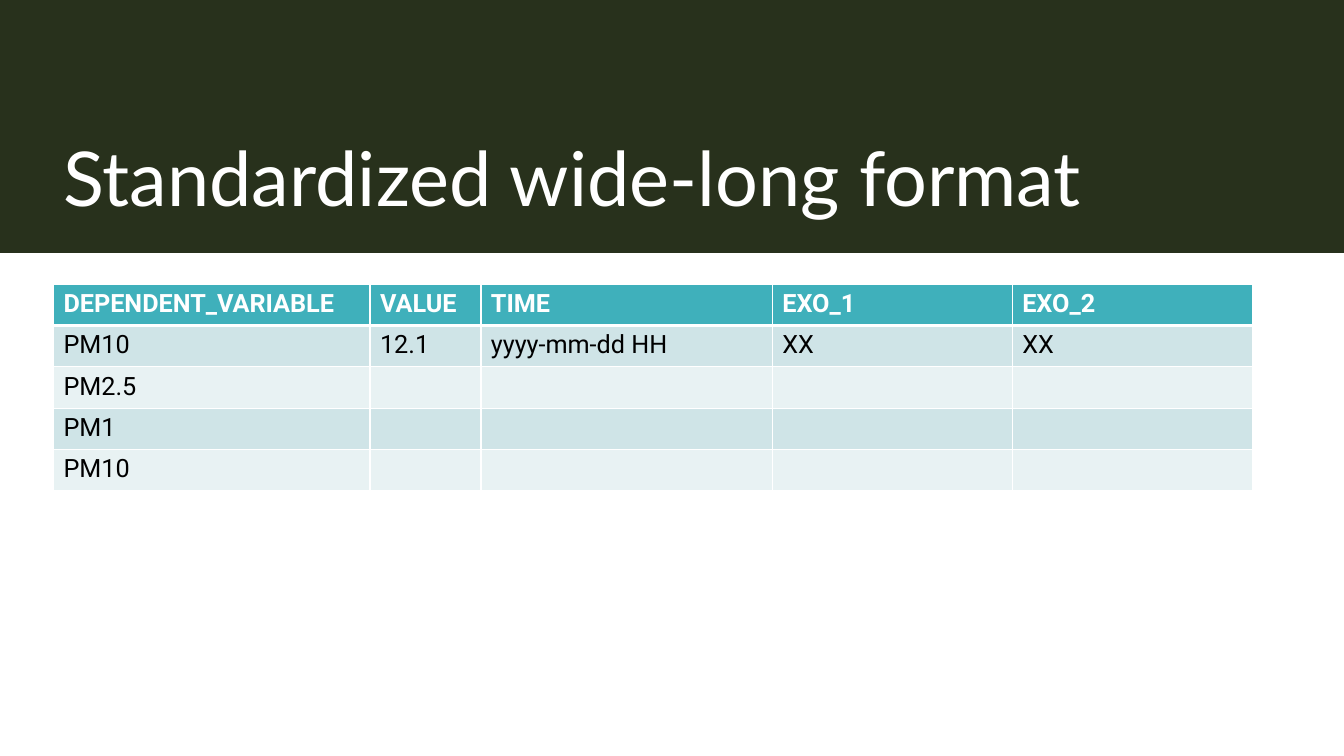
from lxml import etree
from pptx import Presentation
from pptx import util as u
from pptx.dml.color import RGBColor
from pptx.enum import shapes, text
from pptx.oxml import ns

WHITE = RGBColor(0xFF, 0xFF, 0xFF)
BLACK = RGBColor(0, 0, 0)
OLIVE = RGBColor(0x28, 0x31, 0x1C)
TEAL = RGBColor(0x3F, 0xB0, 0xBB)
BANDS = [RGBColor(0xE8, 0xF2, 0xF3), RGBColor(0xCF, 0xE4, 0xE7)]

LEFT, WIDTH = u.Inches(0.53), u.Inches(11.89)
ROW = u.Inches(0.41)
COLS = [3.14, 1.1, 2.89, 2.38, 2.38]
ROWS = [
    ["DEPENDENT_VARIABLE", "VALUE", "TIME", "EXO_1", "EXO_2"],
    ["PM10", "12.1", "yyyy-mm-dd HH", "XX", "XX"],
    ["PM2.5", "", "", "", ""],
    ["PM1", "", "", "", ""],
    ["PM10", "", "", "", ""],
]


def style(para, size, face, color, bold=False):
    font = para.font
    font.size, font.name, font.bold = u.Pt(size), face, bold
    font.color.rgb = color


def edge(cell, side, width):
    """Draw a white border on one side (L, R, T or B) of a cell."""
    props = cell._tc.get_or_add_tcPr()
    line = etree.SubElement(props, ns.qn("a:ln" + side), w=str(u.Pt(width)))
    fill = etree.SubElement(line, ns.qn("a:solidFill"))
    etree.SubElement(fill, ns.qn("a:srgbClr"), val=str(WHITE))


deck = Presentation()
deck.slide_width, deck.slide_height = u.Inches(13.33), u.Inches(7.5)
slide = deck.slides.add_slide(deck.slide_layouts[6])

# Title band
band = slide.shapes.add_shape(
    shapes.MSO_SHAPE.RECTANGLE, 0, 0, deck.slide_width, u.Inches(2.51))
band.shadow.inherit = False
band.fill.solid()
band.fill.fore_color.rgb = OLIVE
band.line.fill.background()

title = slide.shapes.add_textbox(LEFT, u.Inches(0.4), WIDTH, u.Inches(1.85))
frame = title.text_frame
frame.word_wrap = True
frame.vertical_anchor = text.MSO_ANCHOR.BOTTOM
frame.text = "Standardized wide-long format"
style(frame.paragraphs[0], 54, "Lato", WHITE)

# Data table
table = slide.shapes.add_table(
    len(ROWS), len(COLS), LEFT, u.Inches(2.82), WIDTH, ROW * len(ROWS)).table
for col, width in zip(table.columns, COLS):
    col.width = u.Inches(width)
for r, row in enumerate(ROWS):
    table.rows[r].height = ROW
    head = r == 0
    for c, word in enumerate(row):
        cell = table.cell(r, c)
        cell.text = word
        style(cell.text_frame.paragraphs[0], 18, "Roboto",
              WHITE if head else BLACK, head)
        for side in "LRTB":
            thick = (head and side == "B") or (r == 1 and side == "T")
            edge(cell, side, 3 if thick else 1)
        cell.fill.solid()
        cell.fill.fore_color.rgb = TEAL if head else BANDS[r % 2]

deck.save("out.pptx")
